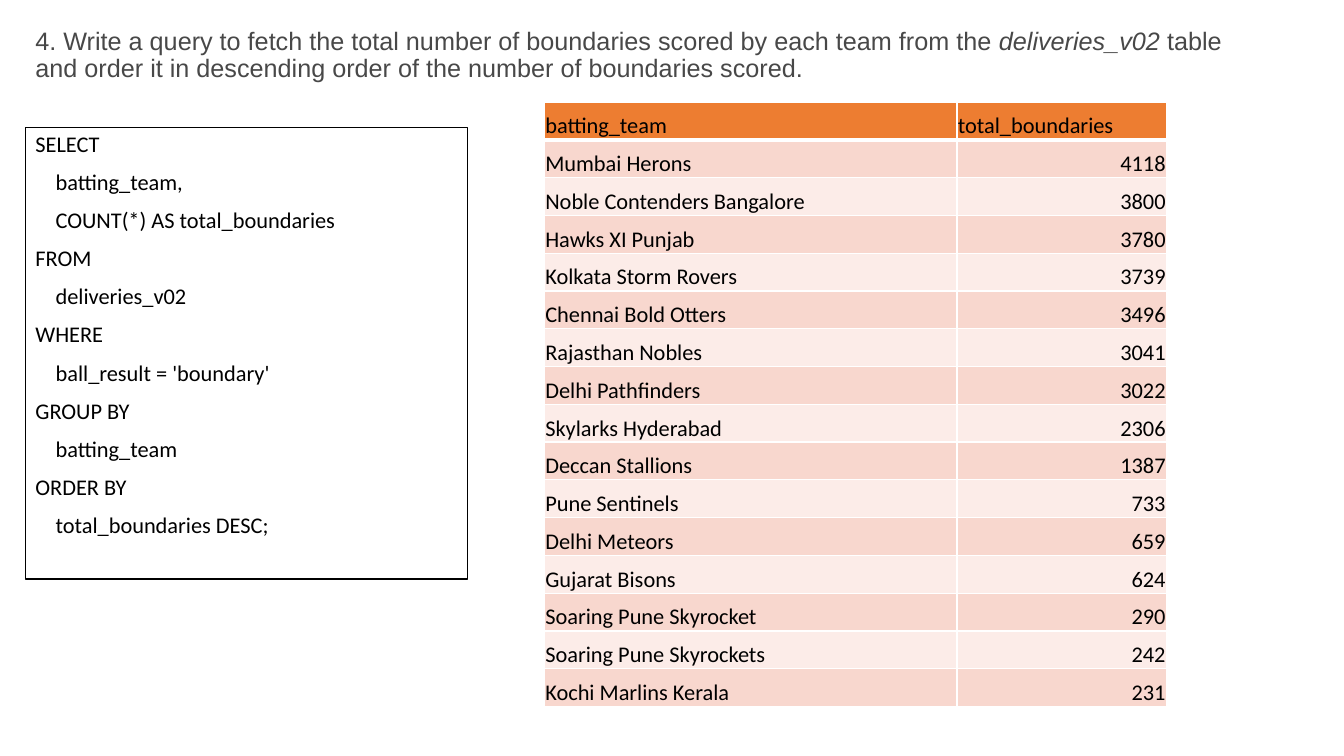
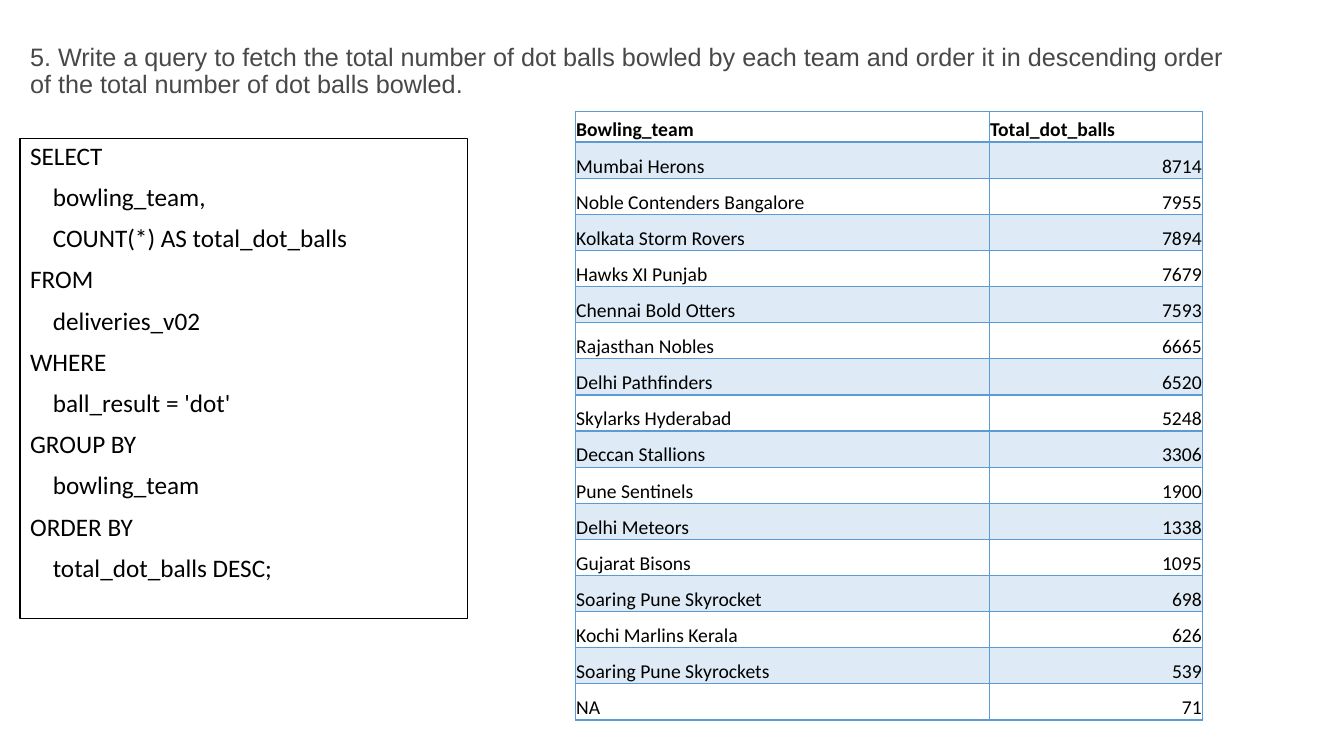
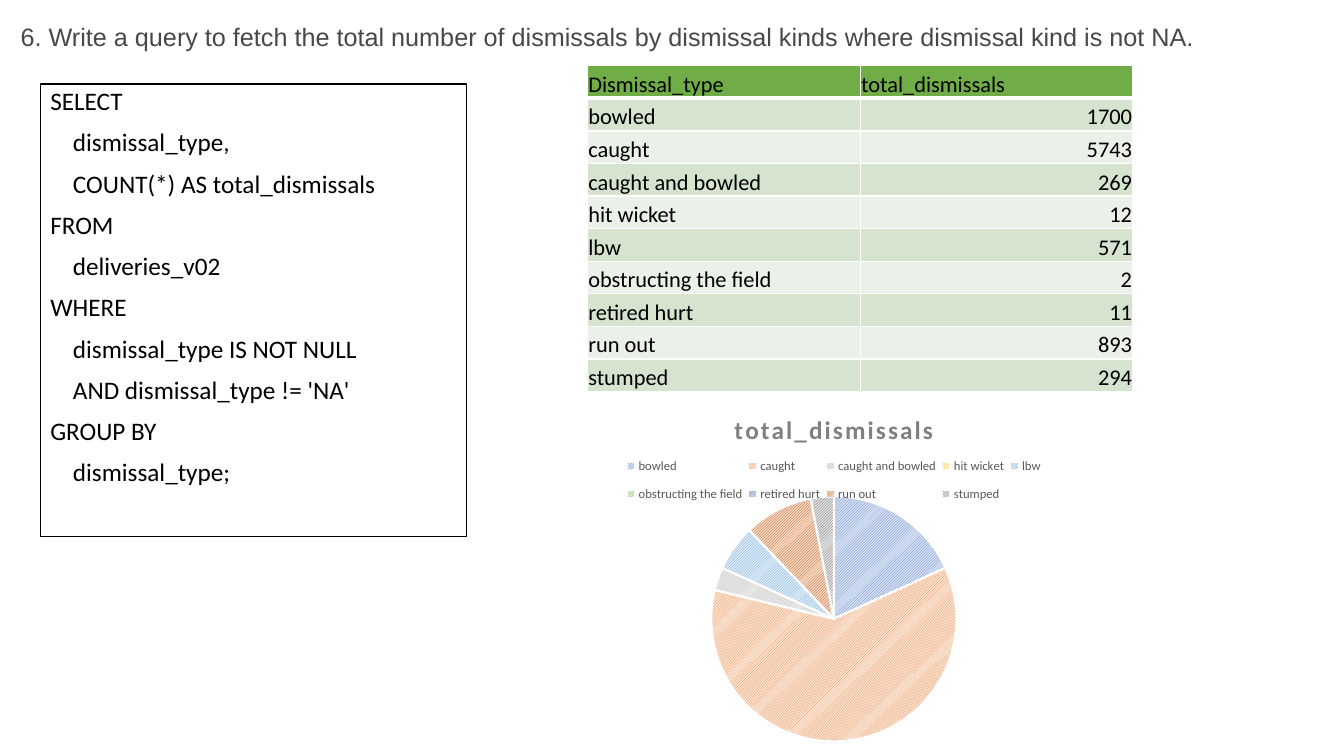
"""Builds three slides of cricket queries, each with its code, result table and, at the end, a pie chart."""
from dataclasses import dataclass

from lxml import etree
from pptx import Presentation
from pptx.chart.data import CategoryChartData
from pptx.dml.color import RGBColor
from pptx.enum.chart import XL_CHART_TYPE, XL_LEGEND_POSITION
from pptx.enum.dml import MSO_PATTERN
from pptx.enum.shapes import MSO_SHAPE
from pptx.enum.text import MSO_ANCHOR, PP_ALIGN
from pptx.oxml.ns import qn
from pptx.util import Inches, Pt

PIE = XL_CHART_TYPE.PIE
LEGEND_TOP = XL_LEGEND_POSITION.TOP
HATCH = MSO_PATTERN.LIGHT_UPWARD_DIAGONAL
RECTANGLE = MSO_SHAPE.RECTANGLE
TOP, MIDDLE, BOTTOM = MSO_ANCHOR.TOP, MSO_ANCHOR.MIDDLE, MSO_ANCHOR.BOTTOM
LEFT, RIGHT = PP_ALIGN.LEFT, PP_ALIGN.RIGHT

SLIDE_WIDTH, SLIDE_HEIGHT = Inches(13.33), Inches(7.5)


@dataclass(frozen=True)
class Theme:
    title_font: str = "Arial"
    body_font: str = "Calibri"
    title_color: str = "484848"
    ink: str = "000000"
    paper: str = "FFFFFF"
    chart_title_color: str = "808080"
    legend_color: str = "595959"
    title_size: int = 18
    chart_size: int = 10
    legend_size: int = 9
    line_spacing: float = 0.9
    code_gap: int = 10
    slices: tuple = (
        ("4472C4", "DAE3F3"), ("ED7D31", "FBE5D6"), ("A5A5A5", "EDEDED"),
        ("FFC000", "FFF2CC"), ("5B9BD5", "DEEBF7"), ("70AD47", "E2F0D9"),
        ("264478", "CAD7EE"), ("9E480E", "FAD8C1"), ("636363", "E0E0E0"))


@dataclass(frozen=True)
class TableStyle:
    header: str | None
    bands: tuple
    border: str
    header_rule: int
    size: int
    header_bold: bool = False
    opacity: int = 100


THEME = Theme()
ORANGE = TableStyle("ED7D31", ("F8D7CE", "FCECE8"), THEME.paper, 3, 16)
BLUE = TableStyle(None, ("5B9BD5", None), "5B9BD5", 2, 14, True, 20)
GREEN = TableStyle("70AD47", ("D5E3CF", "EBF1E9"), THEME.paper, 3, 16)

BOUNDARIES_QUERY = """SELECT
    batting_team,
    COUNT(*) AS total_boundaries
FROM
    deliveries_v02
WHERE
    ball_result = 'boundary'
GROUP BY
    batting_team
ORDER BY
    total_boundaries DESC;"""

DOT_BALLS_QUERY = """SELECT
    bowling_team,
    COUNT(*) AS total_dot_balls
FROM
    deliveries_v02
WHERE
    ball_result = 'dot'
GROUP BY
    bowling_team
ORDER BY
    total_dot_balls DESC;"""

DISMISSALS_QUERY = """SELECT
    dismissal_type,
    COUNT(*) AS total_dismissals
FROM
    deliveries_v02
WHERE
    dismissal_type IS NOT NULL
    AND dismissal_type != 'NA'
GROUP BY
    dismissal_type;"""

BOUNDARIES = (
    ("batting_team", "total_boundaries"),
    ("Mumbai Herons", 4118), ("Noble Contenders Bangalore", 3800),
    ("Hawks XI Punjab", 3780), ("Kolkata Storm Rovers", 3739),
    ("Chennai Bold Otters", 3496), ("Rajasthan Nobles", 3041),
    ("Delhi Pathfinders", 3022), ("Skylarks Hyderabad", 2306),
    ("Deccan Stallions", 1387), ("Pune Sentinels", 733),
    ("Delhi Meteors", 659), ("Gujarat Bisons", 624),
    ("Soaring Pune Skyrocket", 290), ("Soaring Pune Skyrockets", 242),
    ("Kochi Marlins Kerala", 231))

DOT_BALLS = (
    ("Bowling_team", "Total_dot_balls"),
    ("Mumbai Herons", 8714), ("Noble Contenders Bangalore", 7955),
    ("Kolkata Storm Rovers", 7894), ("Hawks XI Punjab", 7679),
    ("Chennai Bold Otters", 7593), ("Rajasthan Nobles", 6665),
    ("Delhi Pathfinders", 6520), ("Skylarks Hyderabad", 5248),
    ("Deccan Stallions", 3306), ("Pune Sentinels", 1900),
    ("Delhi Meteors", 1338), ("Gujarat Bisons", 1095),
    ("Soaring Pune Skyrocket", 698), ("Kochi Marlins Kerala", 626),
    ("Soaring Pune Skyrockets", 539), ("NA", 71))

DISMISSALS = (
    ("Dismissal_type", "total_dismissals"),
    ("bowled", 1700), ("caught", 5743), ("caught and bowled", 269),
    ("hit wicket", 12), ("lbw", 571), ("obstructing the field", 2),
    ("retired hurt", 11), ("run out", 893), ("stumped", 294))

DISMISSAL_SHARES = (18, 60, 3, 0, 6, 0, 0, 9, 3)


def across(percent):
    """Turn a percentage of the slide's width into a length."""
    return round(SLIDE_WIDTH * percent / 100)


def down(percent):
    """Turn a percentage of the slide's height into a length."""
    return round(SLIDE_HEIGHT * percent / 100)


def place(left, top, width, height):
    """Turn a box in percentages of the slide into lengths."""
    return across(left), down(top), across(width), down(height)


def style_font(font, name, size, color, bold=False, italic=False):
    """Set the look of a font."""
    font.name, font.size = name, Pt(size)
    font.bold, font.italic = bold, italic
    font.color.rgb = RGBColor.from_string(color)


def add_run(paragraph, text, *look, **emphasis):
    """Append a styled run to a paragraph."""
    run = paragraph.add_run()
    run.text = text
    style_font(run.font, *look, **emphasis)


def add_title(slide, box, *parts):
    """Add the question, with every second part in italics."""
    frame = slide.shapes.add_textbox(*place(*box)).text_frame
    frame.word_wrap = True
    frame.vertical_anchor = MIDDLE
    paragraph = frame.paragraphs[0]
    paragraph.line_spacing = THEME.line_spacing
    for index, part in enumerate(parts):
        add_run(paragraph, part, THEME.title_font, THEME.title_size,
                THEME.title_color, italic=index % 2 == 1)


def add_code(slide, box, query, size):
    """Add an outlined box with one paragraph per line of the query."""
    shape = slide.shapes.add_shape(RECTANGLE, *place(*box))
    shape.shadow.inherit = False
    shape.fill.solid()
    shape.fill.fore_color.rgb = RGBColor.from_string(THEME.paper)
    shape.line.color.rgb = RGBColor.from_string(THEME.ink)
    shape.line.width = Pt(1)
    frame = shape.text_frame
    frame.word_wrap = True
    frame.vertical_anchor = TOP
    for index, line in enumerate(query.splitlines()):
        paragraph = frame.add_paragraph() if index else frame.paragraphs[0]
        paragraph.alignment = LEFT
        paragraph.line_spacing = THEME.line_spacing
        paragraph.space_before = Pt(THEME.code_gap if index else 0)
        add_run(paragraph, line, THEME.body_font, size, THEME.ink)


def set_borders(cell, color, top, bottom):
    """Draw the four borders of a cell, with widths in points."""
    properties = cell._tc.get_or_add_tcPr()
    for side, width in (("L", 1), ("R", 1), ("T", top), ("B", bottom)):
        line = etree.SubElement(properties, qn(f"a:ln{side}"), w=str(Pt(width)))
        fill = etree.SubElement(line, qn("a:solidFill"))
        etree.SubElement(fill, qn("a:srgbClr"), val=color)


def fill_cell(cell, color, opacity):
    """Fill a cell, or leave it clear when there is no colour."""
    if color is None:
        cell.fill.background()
        return
    cell.fill.solid()
    cell.fill.fore_color.rgb = RGBColor.from_string(color)
    if opacity < 100:
        tint = cell._tc.tcPr.find(f"{qn('a:solidFill')}/{qn('a:srgbClr')}")
        etree.SubElement(tint, qn("a:alpha"), val=str(opacity * 1000))


def add_cell(cell, value, row, style):
    """Write and style one cell of a result table."""
    cell.margin_left = cell.margin_right = cell.margin_top = Inches(0.01)
    cell.margin_bottom = 0
    cell.vertical_anchor = BOTTOM
    set_borders(cell, style.border, style.header_rule if row == 1 else 1,
                style.header_rule if row == 0 else 1)
    fill_cell(cell, style.bands[(row - 1) % 2] if row else style.header,
              style.opacity)
    paragraph = cell.text_frame.paragraphs[0]
    paragraph.alignment = RIGHT if isinstance(value, int) else LEFT
    add_run(paragraph, str(value), THEME.body_font, style.size, THEME.ink,
            bold=row == 0 and style.header_bold)


def add_result(slide, corner, columns, row_height, header_height, rows, style):
    """Add a result table whose body rows share one height."""
    height = header_height + row_height * (len(rows) - 1)
    table = slide.shapes.add_table(
        len(rows), len(columns), *place(*corner, sum(columns), height)).table
    table.first_row = table.horz_banding = False
    for column, width in zip(table.columns, columns):
        column.width = across(width)
    for index, values in enumerate(rows):
        table.rows[index].height = down(row_height if index else header_height)
        for column, value in enumerate(values):
            add_cell(table.cell(index, column), value, index, style)


def set_layout(parent, position, **shares):
    """Fix the place of a chart part as shares of the chart."""
    for existing in parent.findall(qn("c:layout")):
        parent.remove(existing)
    layout = etree.Element(qn("c:layout"))
    manual = etree.SubElement(layout, qn("c:manualLayout"))
    for axis in "xy":
        etree.SubElement(manual, qn(f"c:{axis}Mode"), val="edge")
    for side, share in shares.items():
        etree.SubElement(manual, qn(f"c:{side}"), val=str(share))
    parent.insert(position, layout)


def add_pie(slide, box, title, categories, values):
    """Add a pie chart with hatched slices and a legend on top."""
    data = CategoryChartData()
    data.categories = categories
    data.add_series(title, values)
    chart = slide.shapes.add_chart(PIE, *place(*box), data).chart
    style_font(chart.font, THEME.body_font, THEME.chart_size, THEME.ink)

    chart.has_title = True
    paragraph = chart.chart_title.text_frame.paragraphs[0]
    add_run(paragraph, title, THEME.body_font, THEME.title_size,
            THEME.chart_title_color, bold=True)
    paragraph.runs[0].font._element.set("spc", "150")

    chart.has_legend = True
    legend = chart.legend
    legend.position = LEGEND_TOP
    legend.include_in_layout = False
    style_font(legend.font, THEME.body_font, THEME.legend_size, THEME.legend_color)
    set_layout(legend._element, 1, x=0.17, y=0.14, w=0.66, h=0.19)
    set_layout(chart._chartSpace.chart.plotArea, 0, x=0.31, y=0.28, w=0.38, h=0.68)

    plot = chart.plots[0]
    plot.vary_by_categories = True
    for index, (front, back) in enumerate(THEME.slices):
        look = plot.series[0].points[index].format
        look.fill.patterned()
        look.fill.pattern = HATCH
        look.fill.fore_color.rgb = RGBColor.from_string(front)
        look.fill.back_color.rgb = RGBColor.from_string(back)
        look.line.color.rgb = RGBColor.from_string(THEME.paper)
        look.line.width = Pt(1.5)


def main():
    """Build and save the presentation."""
    presentation = Presentation()
    presentation.slide_width, presentation.slide_height = SLIDE_WIDTH, SLIDE_HEIGHT
    blank = presentation.slide_layouts[6]

    slide = presentation.slides.add_slide(blank)
    add_title(slide, (1.9, 1.2, 91.2, 12.3),
              "4. Write a query to fetch the total number of boundaries scored by "
              "each team from the ", "deliveries_v02 ",
              "table and order it in descending order of the number of boundaries scored.")
    add_code(slide, (1.9, 16.9, 32.9, 59.7), BOUNDARIES_QUERY, 16)
    add_result(slide, (40.5, 13.5), (30.7, 15.6), 5, 5, BOUNDARIES, ORANGE)

    slide = presentation.slides.add_slide(blank)
    add_title(slide, (1.5, 2.5, 91.7, 14),
              "5. Write a query to fetch the total number of dot balls bowled by each team "
              "and order it in descending order of the total number of dot balls bowled.")
    add_code(slide, (1.5, 18.3, 33.3, 63.5), DOT_BALLS_QUERY, 18)
    add_result(slide, (42.8, 14.7), (30.8, 15.9), 4.78, 4.1, DOT_BALLS, BLUE)

    slide = presentation.slides.add_slide(blank)
    add_title(slide, (0.8, 1.5, 90.8, 7.2),
              "6. Write a query to fetch the total number of dismissals by dismissal kinds "
              "where dismissal kind is not NA.")
    add_code(slide, (3, 11.1, 31.7, 59.9), DISMISSALS_QUERY, 18)
    add_result(slide, (43.7, 8.7), (20.3, 20.3), 4.31, 4.31, DISMISSALS, GREEN)
    header, *kinds = DISMISSALS
    add_pie(slide, (38, 52.3, 48.1, 47.7), header[1],
            [kind for kind, _ in kinds], DISMISSAL_SHARES)

    presentation.save("out.pptx")


if __name__ == "__main__":
    main()
